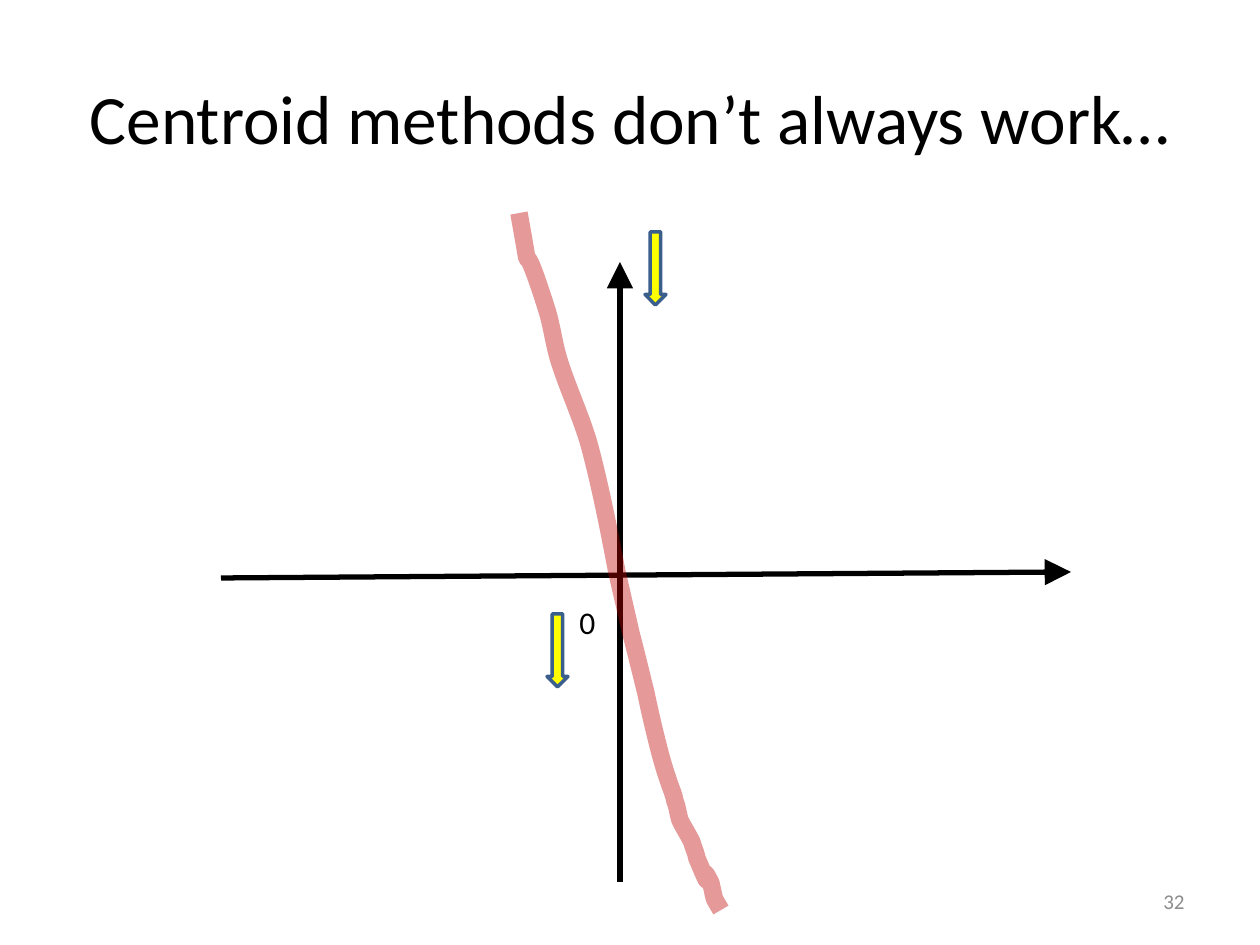
import math
import pptx
import pptx.util
import pptx.dml.color
import pptx.enum.shapes
import pptx.enum.text
import pptx.oxml.ns
import lxml.etree

PX = 914400 / 126
SLIDE_SIZE = (1260, 945)
FONT = "Calibri"
COLORS = {"text": "000000", "axis": "000000", "number": "8C8C8C",
          "arrow": "FFFF00", "arrow_edge": "3A5F8C", "boundary": "C00000"}
BOUNDARY_OPACITY = 40
BOUNDARY_ROTATION = 292.8

TITLE = ("Centroid methods don’t always work…", (63, 38, 1134, 158))
ORIGIN_LABEL = ("0", (567, 597, 42, 50))
SLIDE_NUMBER = ("32", (903, 876, 294, 50))
AXES = [((221, 578), (1071, 572)), ((620, 882), (620, 262))]
ARROW_SIZE = (21, 73)
ARROW_POSITIONS = [(645, 232), (547, 614)]

BOUNDARY_START = (519, 213)
BOUNDARY_CURVES = [
    ((536, 306), (515, 209), (547, 310)),
    ((552, 326), (554, 344), (559, 360)),
    ((568, 389), (582, 418), (590, 447)),
    ((601, 489), (609, 530), (617, 572)),
    ((644, 689), (619, 583), (646, 693)),
    ((650, 712), (660, 757), (668, 779)),
    ((670, 786), (674, 794), (675, 801)),
    ((678, 808), (678, 814), (680, 820)),
    ((684, 828), (688, 834), (692, 842)),
    ((693, 847), (696, 852), (697, 858)),
    ((718, 908), (696, 853), (711, 883)),
    ((712, 886), (712, 889), (713, 892)),
    ((714, 896), (714, 899), (717, 903)),
]
BOUNDARY_END = (721, 910)


def emu(*lengths):
    return [round(length * PX) for length in lengths]


def rgb(name):
    return pptx.dml.color.RGBColor.from_string(COLORS[name])


def add_element(parent, tag, **attributes):
    return lxml.etree.SubElement(parent, pptx.oxml.ns.qn(tag), attributes)


def write_text(shape, text, box, size, color="text", align="LEFT", anchor="MIDDLE", wrap=True):
    shape.left, shape.top, shape.width, shape.height = emu(*box)
    frame = shape.text_frame
    frame.auto_size = pptx.enum.text.MSO_AUTO_SIZE.NONE
    frame.word_wrap = wrap
    frame.vertical_anchor = pptx.enum.text.MSO_ANCHOR[anchor]
    frame.text = text
    paragraph = frame.paragraphs[0]
    paragraph.alignment = pptx.enum.text.PP_ALIGN[align]
    font = paragraph.runs[0].font
    font.name = FONT
    font.size = pptx.util.Pt(size)
    font.color.rgb = rgb(color)


def set_line(shape, color, width):
    shape.line.color.rgb = rgb(color)
    shape.line.width = pptx.util.Pt(width)


def add_axis(slide, start, end):
    axis = slide.shapes.add_connector(
        pptx.enum.shapes.MSO_CONNECTOR.STRAIGHT, *emu(*start, *end))
    set_line(axis, "axis", 3)
    add_element(axis.line._get_or_add_ln(), "a:tailEnd", type="triangle", w="lg", len="lg")
    add_element(axis._element.spPr, "a:effectLst")


def add_down_arrow(slide, position):
    arrow = slide.shapes.add_shape(
        pptx.enum.shapes.MSO_SHAPE.DOWN_ARROW, *emu(*position, *ARROW_SIZE))
    arrow.shadow.inherit = False
    arrow.fill.solid()
    arrow.fill.fore_color.rgb = rgb("arrow")
    set_line(arrow, "arrow_edge", 2)


def rotate(point, pivot, degrees):
    angle = math.radians(degrees)
    x, y = point[0] - pivot[0], point[1] - pivot[1]
    return (pivot[0] + x * math.cos(angle) - y * math.sin(angle),
            pivot[1] + x * math.sin(angle) + y * math.cos(angle))


def join_curves(shape, count):
    lines = shape._element.findall(".//" + pptx.oxml.ns.qn("a:lnTo"))
    for first in range(0, 3 * count, 3):
        curve = lxml.etree.Element(pptx.oxml.ns.qn("a:cubicBezTo"))
        lines[first].addprevious(curve)
        for line in lines[first:first + 3]:
            curve.append(line[0])
            line.getparent().remove(line)


def add_boundary(slide):
    pivot = emu(*((a + b) / 2 for a, b in zip(BOUNDARY_START, BOUNDARY_END)))
    points = [BOUNDARY_START, *(point for curve in BOUNDARY_CURVES for point in curve),
              BOUNDARY_END]
    start, *others = [rotate(emu(*point), pivot, -BOUNDARY_ROTATION) for point in points]
    builder = slide.shapes.build_freeform(*start)
    builder.add_line_segments(others, close=False)
    boundary = builder.convert_to_shape()
    join_curves(boundary, len(BOUNDARY_CURVES))
    half_width, half_height = boundary.width / 2, boundary.height / 2
    center = rotate((boundary.left + half_width, boundary.top + half_height),
                    pivot, BOUNDARY_ROTATION)
    boundary.left = round(center[0] - half_width)
    boundary.top = round(center[1] - half_height)
    boundary.rotation = BOUNDARY_ROTATION
    boundary.shadow.inherit = False
    boundary.fill.background()
    set_line(boundary, "boundary", 10)
    color = boundary.line._get_or_add_ln().find(".//" + pptx.oxml.ns.qn("a:srgbClr"))
    add_element(color, "a:alpha", val=str(BOUNDARY_OPACITY * 1000))


def main():
    presentation = pptx.Presentation()
    presentation.slide_width, presentation.slide_height = emu(*SLIDE_SIZE)
    slide = presentation.slides.add_slide(presentation.slide_layouts[5])
    write_text(slide.shapes.title, *TITLE, size=39.6, align="CENTER")
    for start, end in AXES:
        add_axis(slide, start, end)
    write_text(slide.shapes.add_textbox(0, 0, 0, 0), *ORIGIN_LABEL, size=18,
               anchor="TOP", wrap=False)
    write_text(slide.shapes.add_textbox(0, 0, 0, 0), *SLIDE_NUMBER, size=12,
               color="number", align="RIGHT")
    for position in ARROW_POSITIONS:
        add_down_arrow(slide, position)
    add_boundary(slide)
    presentation.save("out.pptx")


if __name__ == "__main__":
    main()
